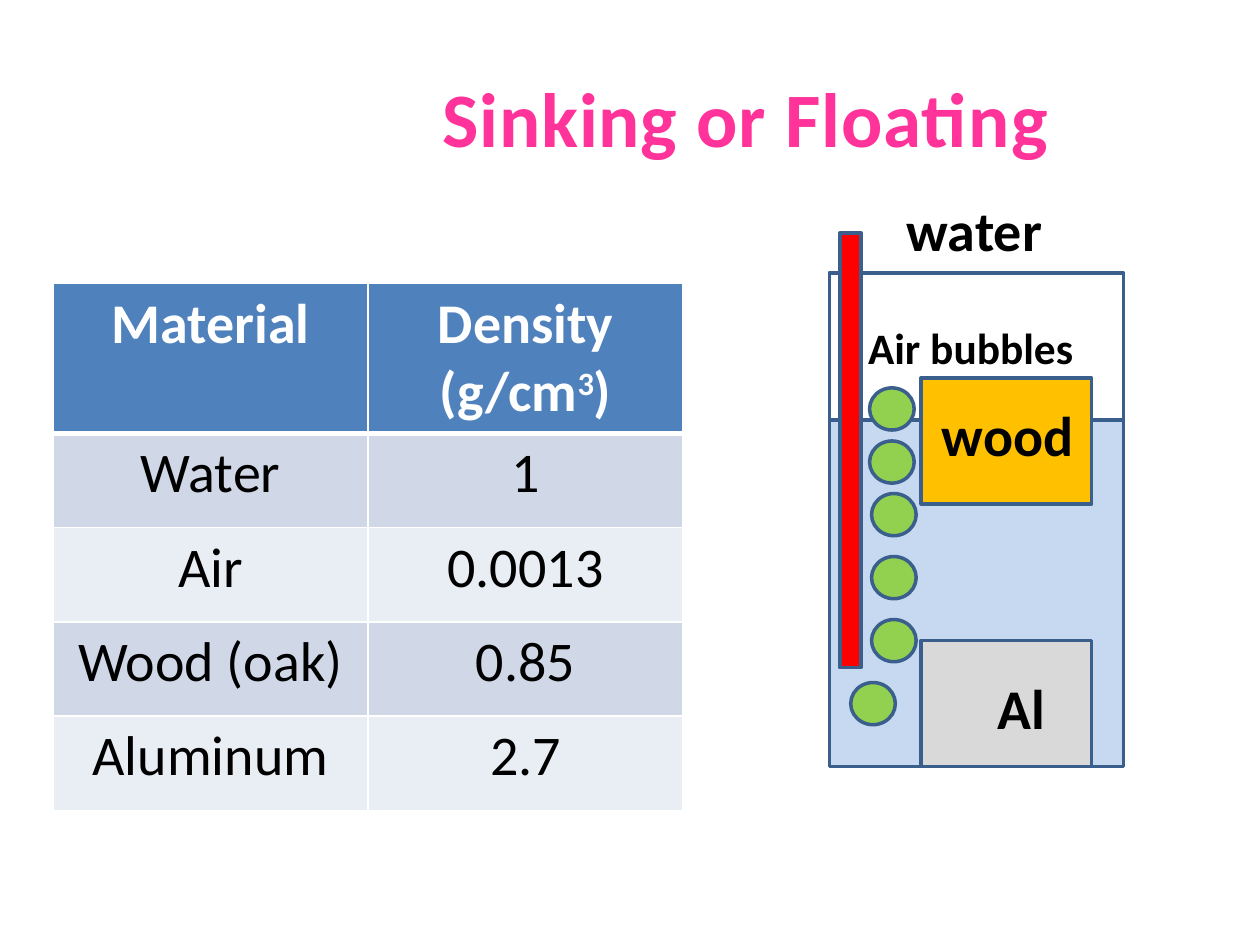
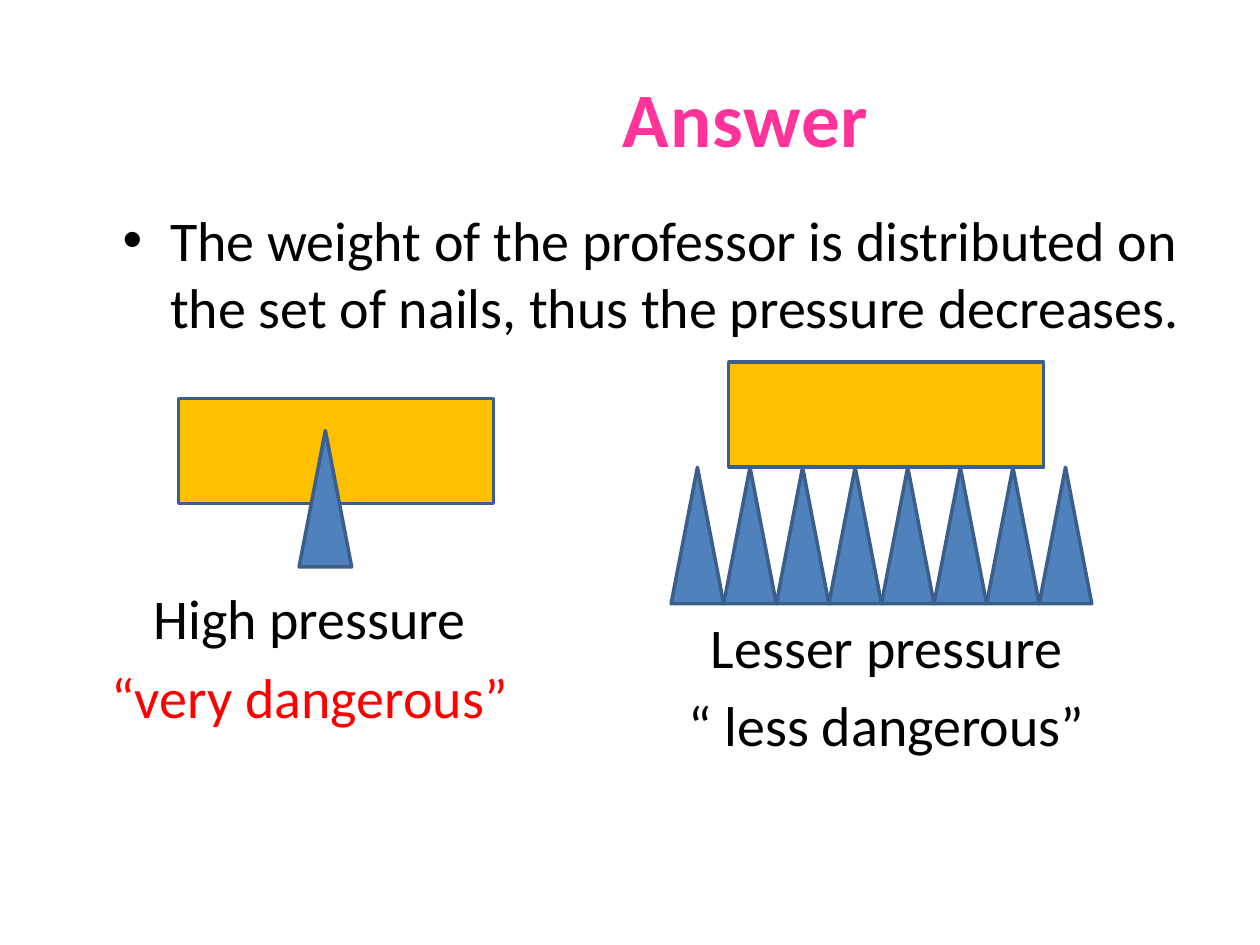
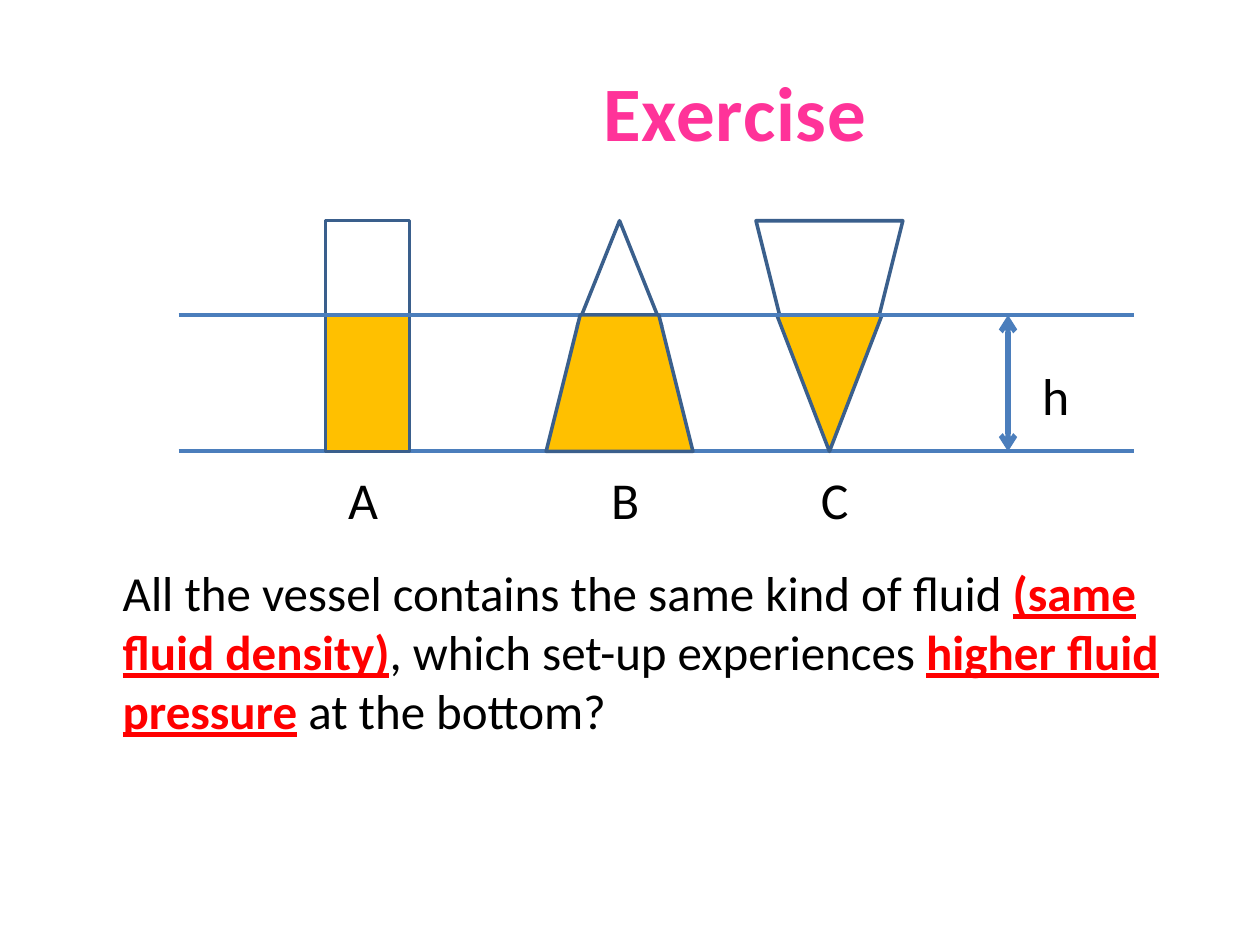
from dataclasses import dataclass
from typing import Any, Iterable, NamedTuple

import lxml.etree
import pptx
import pptx.dml.color
import pptx.enum.shapes
import pptx.enum.text
import pptx.oxml.ns
import pptx.slide
import pptx.text.text
import pptx.util

Cm = pptx.util.Cm
Pt = pptx.util.Pt
SHAPE = pptx.enum.shapes.MSO_SHAPE
ALIGN = pptx.enum.text.PP_ALIGN
qn = pptx.oxml.ns.qn


@dataclass(frozen=True)
class Theme:
    font: str = "Calibri"
    title: str = "FF3399"
    ink: str = "000000"
    alert: str = "FF0000"
    paper: str = "FFFFFF"
    outline: str = "3A5F8C"
    rule: str = "4B7EBC"
    blue: str = "4F81BD"
    amber: str = "FFC000"
    aluminum: str = "D9D9D9"
    water: str = "C6D9F1"
    bubble: str = "92D050"
    bands: tuple[str, str] = ("D0D8E8", "E9EDF4")
    title_size: float = 44
    text_size: float = 32
    question_size: float = 28
    vessel_size: float = 29.6
    bubble_size: float = 24.8
    outline_width: float = 2
    rule_width: float = 2.25
    arrow_width: float = 3
    space_before: float = 0.2


THEME = Theme()


class Box(NamedTuple):
    left: float
    top: float
    width: float
    height: float

    def lengths(self) -> list[int]:
        return [Cm(value) for value in self]


@dataclass(frozen=True)
class Span:
    text: str
    color: str = THEME.ink
    bold: bool = False
    underline: bool = False
    raised: bool = False


@dataclass(frozen=True)
class Label:
    box: Box
    lines: tuple[Span, ...]
    size: float = THEME.text_size
    align: Any = ALIGN.LEFT


@dataclass(frozen=True)
class Part:
    kind: Any
    box: Box
    fill: str
    inverted: bool = False


@dataclass(frozen=True)
class Rule:
    start: tuple[float, float]
    end: tuple[float, float]
    width: float = THEME.rule_width
    arrows: bool = False


def rgb(color: str) -> pptx.dml.color.RGBColor:
    return pptx.dml.color.RGBColor.from_string(color)


def place(shape: Any, box: Box) -> None:
    shape.left, shape.top, shape.width, shape.height = box.lengths()


def write(paragraph: Any, spans: Iterable[Span], size: float, align: Any = ALIGN.LEFT) -> None:
    paragraph.alignment = align
    for span in spans:
        run = paragraph.add_run()
        run.text = span.text
        run.font.name = THEME.font
        run.font.size = Pt(size)
        run.font.bold = span.bold
        run.font.underline = span.underline
        run.font.color.rgb = rgb(span.color)
        if span.raised:
            run.font._element.set("baseline", "30000")


def add_slide(deck: Any, layout: int, title: str, box: Box) -> pptx.slide.Slide:
    slide = deck.slides.add_slide(deck.slide_layouts[layout])
    heading = slide.shapes.title
    place(heading, box)
    frame = heading.text_frame
    frame.auto_size = pptx.enum.text.MSO_AUTO_SIZE.NONE
    frame.vertical_anchor = pptx.enum.text.MSO_ANCHOR.MIDDLE
    write(frame.paragraphs[0], [Span(title, THEME.title, True)], THEME.title_size, ALIGN.CENTER)
    frame.paragraphs[0].runs[0].font._element.set("spc", "50")
    return slide


def fill_body(slide: pptx.slide.Slide, box: Box, spans: Iterable[Span], size: float, bullet: bool) -> None:
    body = slide.placeholders[1]
    place(body, box)
    body.text_frame.auto_size = pptx.enum.text.MSO_AUTO_SIZE.NONE
    paragraph = body.text_frame.paragraphs[0]
    write(paragraph, spans, size)
    if not bullet:
        properties = paragraph._p.get_or_add_pPr()
        properties.set("marL", "0")
        properties.set("indent", "0")
        lxml.etree.SubElement(properties, qn("a:buNone"))


def draw_part(shapes: Any, part: Part) -> None:
    shape = shapes.add_shape(part.kind, *part.box.lengths())
    shape.shadow.inherit = False
    shape.fill.solid()
    shape.fill.fore_color.rgb = rgb(part.fill)
    shape.line.color.rgb = rgb(THEME.outline)
    shape.line.width = Pt(THEME.outline_width)
    if part.inverted:
        shape.rotation = 180


def draw_label(shapes: Any, label: Label) -> None:
    frame = shapes.add_textbox(*label.box.lengths()).text_frame
    frame.word_wrap = True
    for index, line in enumerate(label.lines):
        paragraph = frame.add_paragraph() if index else frame.paragraphs[0]
        write(paragraph, [line], label.size, label.align)
        paragraph.space_before = Pt(label.size * THEME.space_before)


def draw_rule(shapes: Any, rule: Rule) -> None:
    ends = [Cm(value) for value in (*rule.start, *rule.end)]
    connector = shapes.add_connector(pptx.enum.shapes.MSO_CONNECTOR.STRAIGHT, *ends)
    connector.line.color.rgb = rgb(THEME.rule)
    connector.line.width = Pt(rule.width)
    properties = connector._element.spPr
    if rule.arrows:
        for tag in ("a:headEnd", "a:tailEnd"):
            lxml.etree.SubElement(properties.find(qn("a:ln")), qn(tag), type="arrow")
    lxml.etree.SubElement(properties, qn("a:effectLst"))


DRAWERS = {Part: draw_part, Label: draw_label, Rule: draw_rule}


def draw(shapes: Any, items: Iterable[Part | Label | Rule]) -> None:
    for item in items:
        DRAWERS[type(item)](shapes, item)


def style_cell(cell: Any, fill: str, top: float, bottom: float) -> None:
    properties = cell._tc.get_or_add_tcPr()
    for side, width in (("L", 1), ("R", 1), ("T", top), ("B", bottom)):
        border = lxml.etree.SubElement(properties, qn(f"a:ln{side}"), w=str(Pt(width)))
        solid = lxml.etree.SubElement(border, qn("a:solidFill"))
        lxml.etree.SubElement(solid, qn("a:srgbClr"), val=THEME.paper)
    cell.fill.solid()
    cell.fill.fore_color.rgb = rgb(fill)


def draw_densities(slide: pptx.slide.Slide) -> None:
    def head(text: str, raised: bool = False) -> Span:
        return Span(text, THEME.paper, True, raised=raised)

    densities = [("Water", "1"), ("Air", "0.0013"), ("Wood (oak)", "0.85"), ("Aluminum", "2.7")]
    rows = [([head("Material")], [head("Density (g/cm"), head("3", True), head(")")])]
    rows += [([Span(material)], [Span(density)]) for material, density in densities]

    table = slide.shapes.add_table(len(rows), 2, *Box(1.07, 5.72, 12.7, 10.6).lengths()).table
    table.horz_banding = False
    for column in table.columns:
        column.width = Cm(6.35)
    for index, row in enumerate(rows):
        table.rows[index].height = Cm(1.9 if index else 3)
        fill = THEME.bands[(index - 1) % 2] if index else THEME.blue
        for column, spans in enumerate(row):
            cell = table.cell(index, column)
            style_cell(cell, fill, 3 if index == 1 else 1, 1 if index else 3)
            write(cell.text_frame.paragraphs[0], spans, THEME.text_size, ALIGN.CENTER)


TITLE_BOX = Box(5.93, 0.76, 18.2, 3.18)


def build_floating(deck: Any) -> None:
    slide = add_slide(deck, 5, "Sinking or Floating", TITLE_BOX)
    draw_densities(slide)

    def caption(text: str, box: Box, size: float = THEME.text_size, align: Any = ALIGN.LEFT) -> Label:
        return Label(box, (Span(text, bold=True),), size, align)

    bubbles = [(17.15, 13.76)] + [(17.57, 12.49 - 1.27 * step) for step in range(3)]
    bubbles += [(17.53, 8.89), (17.53, 7.82)]
    draw(slide.shapes, [
        Part(SHAPE.RECTANGLE, Box(16.72, 5.5, 5.93, 6.77), THEME.paper),
        Part(SHAPE.RECTANGLE, Box(16.72, 8.47, 5.93, 6.98), THEME.water),
        caption("water", Box(18.03, 3.81, 3.28, 1.78)),
        Part(SHAPE.RECTANGLE, Box(18.57, 7.62, 3.44, 2.54), THEME.amber),
        caption("wood", Box(18.74, 7.95, 3.28, 1.78)),
        Part(SHAPE.RECTANGLE, Box(18.57, 12.91, 3.44, 2.54), THEME.aluminum),
        caption("Al", Box(18.95, 13.46, 3.28, 1.78), align=ALIGN.CENTER),
        Part(SHAPE.RECTANGLE, Box(16.93, 4.7, 0.43, 8.76), THEME.alert),
        *(Part(SHAPE.OVAL, Box(left, top, 0.9, 0.85), THEME.bubble) for left, top in bubbles),
        caption("Air bubbles", Box(17.25, 6.35, 4.98, 1.27), THEME.bubble_size),
    ])


def build_answer(deck: Any) -> None:
    slide = add_slide(deck, 1, "Answer", TITLE_BOX)
    answer = "The weight of the professor is distributed on the set of nails, thus the pressure decreases."
    fill_body(slide, Box(2.22, 4.02, 22.02, 3.18), [Span(answer)], THEME.text_size, True)

    nail_width = 1.06

    def nail(left: float, top: float) -> Part:
        return Part(SHAPE.ISOSCELES_TRIANGLE, Box(left, top, nail_width, 2.75), THEME.blue)

    def load(left: float, top: float) -> Part:
        return Part(SHAPE.RECTANGLE, Box(left, top, 6.35, 2.12), THEME.amber)

    def verdict(left: float, top: float, *lines: Span) -> Label:
        return Label(Box(left, top, 9.53, 3.18), lines, align=ALIGN.CENTER)

    draw(slide.shapes, [
        *(nail(13.53 + nail_width * index, 9.42) for index in range(8)),
        verdict(1.48, 11.64, Span("High pressure"), Span("“very dangerous”", THEME.alert)),
        load(3.6, 8.03),
        nail(6.03, 8.68),
        load(14.69, 7.3),
        verdict(13.11, 12.22, Span("Lesser pressure"), Span("“ less dangerous”")),
    ])


def build_exercise(deck: Any) -> None:
    slide = add_slide(deck, 1, "Exercise", Box(5.72, 0.64, 18.2, 3.18))

    def stress(text: str) -> Span:
        return Span(text, THEME.alert, True, True)

    question = [
        Span("All the vessel contains the same kind of fluid "),
        stress("(same fluid density)"),
        Span(", which set-up experiences "),
        stress("higher fluid pressure"),
        Span(" at the bottom?"),
    ]
    fill_body(slide, Box(2.22, 11.22, 22.02, 4.23), question, THEME.question_size, False)

    rim, surface, floor = 4.45, 6.35, 9.1
    depth = floor - surface
    rule_left, rule_right, arrow_x = 3.6, 22.86, 20.32
    letters = [("h", 20.76, 7.2), ("A", 6.77, 9.31), ("B", 12.07, 9.31), ("C", 16.3, 9.31)]
    draw(slide.shapes.add_group_shape().shapes, [
        Rule((rule_left, floor), (rule_right, floor)),
        Part(SHAPE.RECTANGLE, Box(6.56, rim, 1.7, floor - rim), THEME.paper),
        Part(SHAPE.RECTANGLE, Box(6.56, surface, 1.7, depth), THEME.amber),
        Part(SHAPE.ISOSCELES_TRIANGLE, Box(11.64, rim, 1.7, 2.12), THEME.paper),
        Part(SHAPE.ISOSCELES_TRIANGLE, Box(15.66, surface, 2.12, depth), THEME.amber, True),
        Part(SHAPE.TRAPEZOID, Box(15.24, rim, 2.96, surface - rim), THEME.paper, True),
        Rule((rule_left, surface), (rule_right, surface)),
        Part(SHAPE.TRAPEZOID, Box(11.01, surface, 2.96, depth), THEME.amber),
        Rule((arrow_x, surface), (arrow_x, floor), THEME.arrow_width, True),
        *(Label(Box(left, top, 1.27, 1.48), (Span(letter),), THEME.vessel_size)
          for letter, left, top in letters),
    ])


def main() -> None:
    deck = pptx.Presentation()
    deck.slide_width, deck.slide_height = Cm(25.4), Cm(19.05)
    for build in (build_floating, build_answer, build_exercise):
        build(deck)
    deck.save("out.pptx")


if __name__ == "__main__":
    main()
